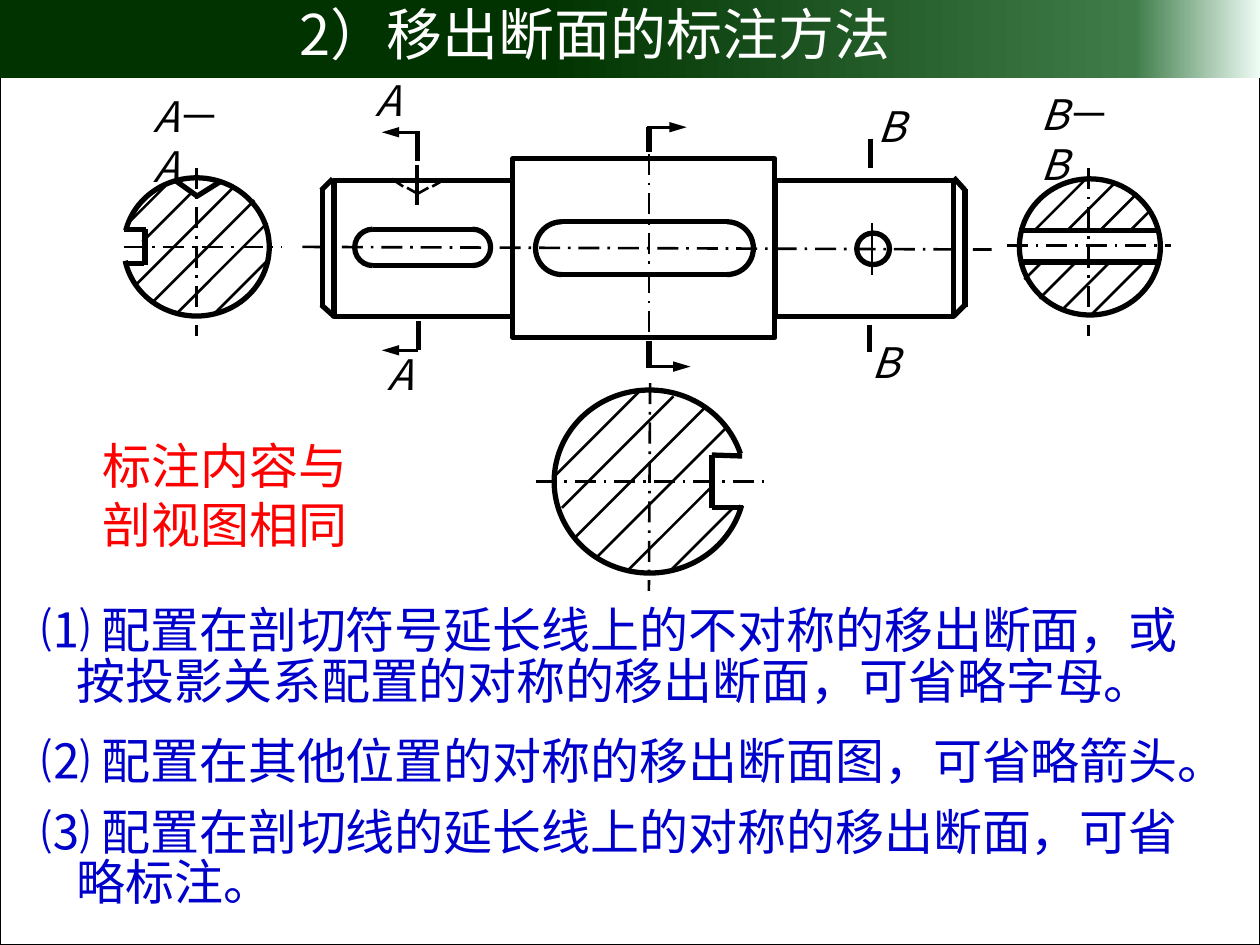
import copy
from dataclasses import dataclass

import pptx
import pptx.dml.color
import pptx.enum.dml
import pptx.enum.shapes
import pptx.enum.text
import pptx.oxml
import pptx.oxml.ns
import pptx.util

Pt = pptx.util.Pt
RGBColor = pptx.dml.color.RGBColor
SHAPES = pptx.enum.shapes.MSO_SHAPE
ANCHORS = pptx.enum.text.MSO_ANCHOR
qn = pptx.oxml.ns.qn

BLACK = RGBColor(0x00, 0x00, 0x00)
WHITE = RGBColor(0xFF, 0xFF, 0xFF)
RED = RGBColor(0xFF, 0x00, 0x00)
BLUE = RGBColor(0x00, 0x00, 0xCC)
BANNER_STOPS = [(0.43, RGBColor(0x00, 0x33, 0x00)), (0.9, RGBColor(0x3F, 0x7C, 0x49)),
                (1, RGBColor(0xEE, 0xFC, 0xF6))]
CJK_FONT = "Noto Sans CJK SC"
DASH_FONT = "Karla"
OUTLINE, CENTER_MARK, THIN = 3, 2.25, 1.5


@dataclass
class Line:
    x1: float
    y1: float
    x2: float
    y2: float


@dataclass
class Hatch:
    """A 45 degree line rising to the right from its lower left end."""
    x: float
    y: float
    run: float

    def line(self) -> Line:
        return Line(self.x, self.y, self.x + self.run, self.y - self.run)


@dataclass
class Arc:
    """Part of an ellipse, clockwise between two angles in degrees."""
    x: float
    y: float
    radius_x: float
    radius_y: float
    start: float
    end: float


@dataclass
class Box:
    left: float
    top: float
    width: float
    height: float


CUTTING_MARKS = [Line(497.5, 79.2, 497.5, 95.8), Line(496.8, 185.8, 496.8, 200.9),
                 Line(238.5, 75, 238.5, 92.2), Line(239, 183.6, 239, 200.2),
                 Line(370.8, 72.7, 370.8, 87.1), Line(370.8, 195.1, 370.8, 210.2)]
ARROWS = [Line(238.3, 75.6, 218.2, 75.6), Line(239, 200.2, 218.2, 200.2),
          Line(370, 72.7, 392.4, 72.7), Line(370, 209.5, 394.6, 209.5)]
SECTION_EDGES = [
    Line(582.5, 131.8, 662.4, 131.8), Line(582.5, 149.8, 662.4, 149.8),
    Line(406.8, 260, 406.8, 290.2), Line(406.8, 260, 424.1, 260.6),
    Line(406.8, 290.2, 424.8, 290.2),
    Line(70.6, 131, 83.5, 131), Line(82.8, 131, 82.8, 151.2), Line(82.1, 150.5, 70.6, 150.5),
    Line(126, 103.7, 112.3, 112.3), Line(100, 103, 113, 112.3)]
CHAMFERS = [
    Line(190.1, 102.2, 183.6, 108.7), Line(190.8, 180.7, 183.6, 174.2),
    Line(184.3, 175.7, 184.3, 108),
    Line(545, 101.5, 551.5, 108.7), Line(545, 180.7, 551.5, 174.2),
    Line(551.5, 175.7, 551.5, 108)]
KEYWAY_EDGES = [Line(213.1, 131, 270, 131), Line(213.1, 151.7, 270, 151.7),
                Line(321.1, 126.7, 415.4, 126.7), Line(321.1, 157, 415.4, 157)]
HOLE_DETAILS = [
    Line(498.2, 127.4, 498.2, 157),
    Line(238.3, 110.9, 244.8, 107.3), Line(247, 106.6, 253.4, 103),
    Line(239, 110.9, 232.6, 107.3), Line(230.4, 106.6, 223.9, 102.2)]
CENTER_LINES = [
    Line(575.3, 140.4, 668.9, 140.4), Line(622.1, 95.8, 622.1, 192.2),
    Line(371.5, 218.9, 370.8, 337.7), Line(306, 275, 437, 275),
    Line(70.6, 141.1, 161.3, 141.1), Line(112.3, 95.8, 112.3, 192.2),
    Line(172.8, 141.1, 566.6, 142.6), Line(370.8, 87.8, 370.8, 193)]
HATCHES = [
    Hatch(610.6, 131, 26.3), Hatch(591.8, 131, 30), Hatch(629.3, 131, 20.5),
    Hatch(645.8, 131.8, 12), Hatch(594, 170.6, 20.2), Hatch(585.4, 159.8, 9.4),
    Hatch(606.2, 177.8, 27.5), Hatch(622.8, 180.7, 31),
    Hatch(383, 326.2, 36), Hatch(328.3, 307.4, 74.9), Hatch(321.1, 290.2, 63.7),
    Hatch(316.8, 272.2, 48.2), Hatch(341.3, 318.2, 73.2), Hatch(358.6, 326.2, 48.2),
    Hatch(100.8, 179.3, 52), Hatch(87.1, 172.8, 58.3), Hatch(77, 163.4, 56.3),
    Hatch(81.4, 138.2, 28), Hatch(73.4, 127.4, 21), Hatch(121.7, 180, 32.4)]
ARCS = [
    Arc(112.3, 141.1, 41.6, 39.5, 193, 169), Arc(371.2, 275.2, 54.5, 52.3, 14.5, 343),
    Arc(321.1, 141.8, 15.1, 15.1, 90, 270), Arc(415.4, 141.8, 15.1, 15.1, 270, 90),
    Arc(213.1, 141.4, 10.4, 10.4, 90, 270), Arc(270, 141.4, 10.4, 10.4, 270, 90)]
SHAFT_STEPS = [Box(190.8, 103, 102.2, 77.8), Box(442.8, 103, 102.2, 77.8),
               Box(293, 90.7, 149.8, 102.2)]
CIRCLES = [Box(582.5, 102.2, 80.6, 77.8), Box(489.6, 133.2, 18.7, 18)]
SECTION_LETTERS = [
    ("A", Box(207.4, 38.9, 31.7, 36)), ("A", Box(214.6, 195.8, 26.6, 36)),
    ("B", Box(494.6, 54, 26.6, 36)), ("B", Box(491, 188.6, 26.6, 36))]
SECTION_TITLES = [("A", Box(80.6, 62.6, 62.6, 36)), ("B", Box(587.5, 61.2, 62.6, 36))]
RULES = [
    (Box(16.6, 344.2, 700.6, 64.8),
     ["⑴ 配置在剖切符号延长线上的不对称的移出断面，或",
      "按投影关系配置的对称的移出断面，可省略字母。"]),
    (Box(16.6, 419, 700.6, 36), ["⑵ 配置在其他位置的对称的移出断面图，可省略箭头。"]),
    (Box(16.6, 459.4, 705.6, 64.8),
     ["⑶ 配置在剖切线的延长线上的对称的移出断面，可省", "略标注。"])]


def add_outline(slide, kind, box: Box, weight: float = OUTLINE):
    shape = slide.shapes.add_shape(kind, Pt(box.left), Pt(box.top), Pt(box.width), Pt(box.height))
    shape.shadow.inherit = False
    shape.fill.background()
    shape.line.color.rgb = BLACK
    shape.line.width = Pt(weight)
    return shape


def add_arc(slide, arc: Arc) -> None:
    box = Box(arc.x - arc.radius_x, arc.y - arc.radius_y, 2 * arc.radius_x, 2 * arc.radius_y)
    shape = add_outline(slide, SHAPES.ARC, box)
    for index, degrees in enumerate((arc.start, arc.end)):
        shape.adjustments[index] = degrees * 0.6


def add_lines(slide, lines: list[Line], weight: float, dashed: bool = False,
              arrow: bool = False) -> None:
    for line in lines:
        connector = slide.shapes.add_connector(
            pptx.enum.shapes.MSO_CONNECTOR.STRAIGHT,
            Pt(line.x1), Pt(line.y1), Pt(line.x2), Pt(line.y2))
        connector.line.color.rgb = BLACK
        connector.line.width = Pt(weight)
        if dashed:
            connector.line.dash_style = pptx.enum.dml.MSO_LINE.LONG_DASH_DOT
        properties = connector._element.spPr
        if arrow:
            head = pptx.oxml.ns.nsdecls("a")
            properties.find(qn("a:ln")).append(pptx.oxml.parse_xml(
                f'<a:tailEnd {head} type="triangle" w="med" len="lg"/>'))
        properties.append(properties.makeelement(qn("a:effectLst"), {}))


def add_text(slide, box: Box, paragraphs: list[list[str]], *, size: float, color: RGBColor,
             italic: bool = False, anchor=ANCHORS.TOP, spacing: float = 1,
             continuation_indent: float = 0) -> None:
    """Each paragraph is a list of runs; a wide dash is upright and has its own font."""
    text_box = slide.shapes.add_textbox(Pt(box.left), Pt(box.top), Pt(box.width), Pt(box.height))
    frame = text_box.text_frame
    frame.word_wrap = True
    frame.vertical_anchor = anchor
    for index, runs in enumerate(paragraphs):
        paragraph = frame.add_paragraph() if index else frame.paragraphs[0]
        paragraph.line_spacing = spacing
        if index and continuation_indent:
            paragraph._p.get_or_add_pPr().set("marL", str(Pt(continuation_indent)))
        for text in runs:
            run = paragraph.add_run()
            run.text = text
            run.font.size = Pt(size)
            run.font.color.rgb = color
            run.font.italic = italic and text != "－"
            run.font.name = DASH_FONT if text == "－" else CJK_FONT
            east_asian = run._r.rPr.makeelement(qn("a:ea"), {"typeface": run.font.name})
            run._r.rPr.append(east_asian)


def add_banner(slide) -> None:
    banner = add_outline(slide, SHAPES.RECTANGLE, Box(0, -1.4, 720, 46))
    banner.line.fill.background()
    banner.fill.gradient()
    banner.fill.gradient_angle = 0
    stop_list = banner._element.spPr.find(".//" + qn("a:gsLst"))
    stop_list.append(copy.deepcopy(stop_list[-1]))
    for stop, (position, color) in zip(banner.fill.gradient_stops, BANNER_STOPS):
        stop.position = position
        stop.color.rgb = color


def main() -> None:
    presentation = pptx.Presentation()
    presentation.slide_width, presentation.slide_height = Pt(720), Pt(540)
    slide = presentation.slides.add_slide(presentation.slide_layouts[6])

    add_outline(slide, SHAPES.RECTANGLE, Box(0, 0, 720, 540), 0.75)
    add_banner(slide)
    add_text(slide, Box(164.2, -3.6, 408.2, 45.4), [["2）移出断面的标注方法"]],
             size=32, color=WHITE)

    letter_format = dict(size=24, color=BLACK, italic=True, anchor=ANCHORS.MIDDLE)
    for letter, box in SECTION_LETTERS:
        add_text(slide, box, [[letter]], **letter_format)
    for letter, box in SECTION_TITLES:
        add_text(slide, box, [[letter, "－", letter]], **letter_format)

    add_lines(slide, [hatch.line() for hatch in HATCHES] + HOLE_DETAILS, THIN)
    add_lines(slide, CENTER_LINES, THIN, dashed=True)
    add_lines(slide, [Line(238.3, 94.3, 238.3, 117.4)], CENTER_MARK)
    for box in SHAFT_STEPS:
        add_outline(slide, SHAPES.RECTANGLE, box)
    for box in CIRCLES:
        add_outline(slide, SHAPES.OVAL, box)
    for arc in ARCS:
        add_arc(slide, arc)
    add_lines(slide, CUTTING_MARKS + SECTION_EDGES + CHAMFERS + KEYWAY_EDGES, OUTLINE)
    add_lines(slide, ARROWS, THIN, arrow=True)

    add_text(slide, Box(51.8, 245.5, 161.3, 74.2), [["标注内容与剖视图相同"]], size=28, color=RED)
    for box, lines in RULES:
        add_text(slide, box, [[line] for line in lines], size=28, color=BLUE,
                 anchor=ANCHORS.MIDDLE, spacing=0.85, continuation_indent=20)
    presentation.save("out.pptx")


if __name__ == "__main__":
    main()
